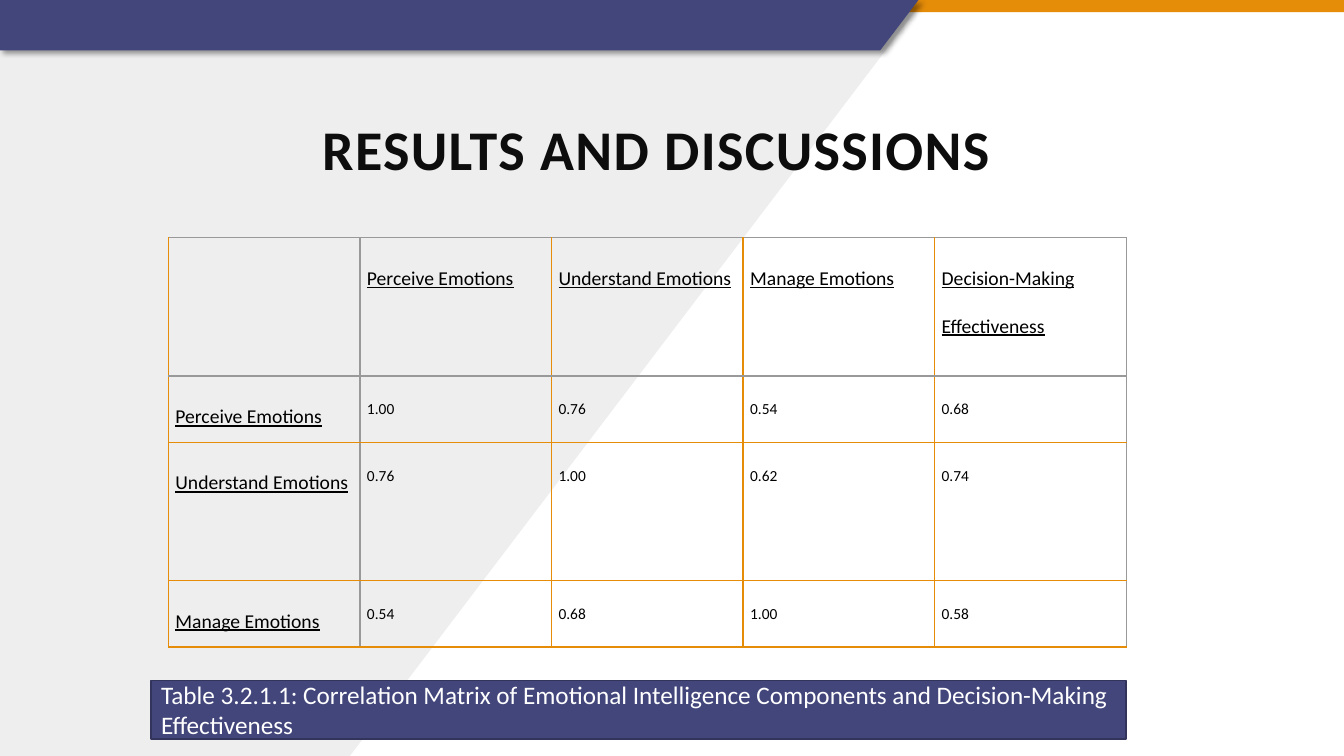
from lxml.etree import SubElement
from pptx import Presentation
from pptx.dml.color import RGBColor
from pptx.enum.shapes import MSO_SHAPE
from pptx.enum.text import MSO_ANCHOR, PP_ALIGN
from pptx.oxml import parse_xml
from pptx.oxml.ns import nsdecls, qn
from pptx.util import Inches, Pt

INDIGO, ORANGE, GREY, BLACK = "43467B", "E58C09", "999999", "000000"
VERTICAL_RULES = [ORANGE, GREY, ORANGE, ORANGE, ORANGE, GREY]
HORIZONTAL_RULES = [GREY, GREY, ORANGE, ORANGE, ORANGE]

COLUMN_WIDTH = 1.9
ROW_HEIGHTS = [1.37, 0.66, 1.37, 0.66]
CORRELATIONS = [
    ["", "Perceive Emotions", "Understand Emotions", "Manage Emotions", "Decision-Making Effectiveness"],
    ["Perceive Emotions", "1.00", "0.76", "0.54", "0.68"],
    ["Understand Emotions", "0.76", "1.00", "0.62", "0.74"],
    ["Manage Emotions", "0.54", "0.68", "1.00", "0.58"],
]


def colour(value):
    return RGBColor.from_string(value)


class SlideBuilder:
    font_name = "Calibri"

    def __init__(self, presentation):
        self.slide = presentation.slides.add_slide(presentation.slide_layouts[5])
        self.shapes = self.slide.shapes

    def style_text(self, paragraph, size, text_colour, alignment=PP_ALIGN.LEFT):
        paragraph.alignment = alignment
        paragraph.font.name = self.font_name
        paragraph.font.size = Pt(size)
        paragraph.font.color.rgb = colour(text_colour)

    def style_shape(self, shape, fill, line=None):
        shape.shadow.inherit = False
        shape.fill.solid()
        shape.fill.fore_color.rgb = colour(fill)
        if line:
            shape.line.color.rgb = colour(line)
            shape.line.width = Pt(1.25)
        else:
            shape.line.fill.background()

    def rectangle(self, left, top, width, height, fill, line=None):
        shape = self.shapes.add_shape(
            MSO_SHAPE.RECTANGLE, Inches(left), Inches(top), Inches(width), Inches(height))
        self.style_shape(shape, fill, line)
        return shape

    def polygon(self, points, fill):
        start, *others = [(Inches(x), Inches(y)) for x, y in points]
        builder = self.shapes.build_freeform(*start)
        builder.add_line_segments(others)
        shape = builder.convert_to_shape()
        self.style_shape(shape, fill)
        return shape

    def drop_shadow(self, shape):
        effects = shape._element.spPr.find(qn("a:effectLst"))
        shadow = SubElement(effects, qn("a:outerShdw"), blurRad=str(Pt(4)),
                            dist=str(Pt(3)), dir="2700000", algn="tl", rotWithShape="0")
        shade = SubElement(shadow, qn("a:srgbClr"), val=BLACK)
        SubElement(shade, qn("a:alpha"), val="40000")

    def title(self, text, left, top, width, height):
        title = self.shapes.title
        title.left, title.top = Inches(left), Inches(top)
        title.width, title.height = Inches(width), Inches(height)
        self.shapes._spTree.append(title._element)
        frame = title.text_frame
        frame.text = text
        frame.vertical_anchor = MSO_ANCHOR.MIDDLE
        paragraph = frame.paragraphs[0]
        self.style_text(paragraph, 40, "0D0D0D", PP_ALIGN.CENTER)
        paragraph.font.bold = True
        paragraph.runs[0]._r.get_or_add_rPr().set("spc", "100")

    def borders(self, cell, row, column):
        sides = {"L": VERTICAL_RULES[column], "R": VERTICAL_RULES[column + 1],
                 "T": HORIZONTAL_RULES[row], "B": HORIZONTAL_RULES[row + 1]}
        properties = cell._tc.get_or_add_tcPr()
        for position, (side, value) in enumerate(sides.items()):
            properties.insert(position, parse_xml(
                f'<a:ln{side} {nsdecls("a")} w="{Pt(1)}"><a:solidFill>'
                f'<a:srgbClr val="{value}"/></a:solidFill></a:ln{side}>'))

    def table(self, values, left, top):
        width = COLUMN_WIDTH * len(values[0])
        table = self.shapes.add_table(
            len(values), len(values[0]), Inches(left), Inches(top),
            Inches(width), Inches(sum(ROW_HEIGHTS))).table
        table.first_row = table.horz_banding = False
        for column in table.columns:
            column.width = Inches(COLUMN_WIDTH)
        for row, height in enumerate(ROW_HEIGHTS):
            table.rows[row].height = Inches(height)
            for column, text in enumerate(values[row]):
                cell = table.cell(row, column)
                cell.fill.background()
                cell.margin_left = cell.margin_right = Inches(0.07)
                cell.margin_top = cell.margin_bottom = Inches(0.05)
                self.borders(cell, row, column)
                cell.text = text
                paragraph = cell.text_frame.paragraphs[0]
                is_label = row == 0 or column == 0
                self.style_text(paragraph, 14 if is_label else 11, BLACK, PP_ALIGN.JUSTIFY)
                paragraph.font.underline = is_label
                paragraph.line_spacing = 2.0

    def caption(self, text, left, top, width, height):
        frame = self.rectangle(left, top, width, height, INDIGO, "32345B").text_frame
        frame.word_wrap = True
        frame.vertical_anchor = MSO_ANCHOR.MIDDLE
        frame.text = text
        self.style_text(frame.paragraphs[0], 18, "FFFFFF")


def main():
    presentation = Presentation()
    presentation.slide_width, presentation.slide_height = Inches(13.33), Inches(7.5)
    builder = SlideBuilder(presentation)
    builder.polygon([(0, 0), (9.11, 0), (9.11, 0.07), (3.47, 7.5), (0, 7.5)], "EEEEEE")
    builder.rectangle(0, 0, 13.33, 0.12, ORANGE)
    ribbon = builder.polygon([(0, 0), (9.11, 0), (8.73, 0.5), (0, 0.5)], INDIGO)
    builder.drop_shadow(ribbon)
    builder.title("RESULTS AND DISCUSSIONS", 0.6, 1.08, 11.82, 0.77)
    builder.table(CORRELATIONS, 1.67, 2.36)
    builder.caption(
        "Table 3.2.1.1: Correlation Matrix of Emotional Intelligence Components "
        "and Decision-Making Effectiveness", 1.5, 6.75, 9.67, 0.58)
    presentation.save("out.pptx")


if __name__ == "__main__":
    main()
